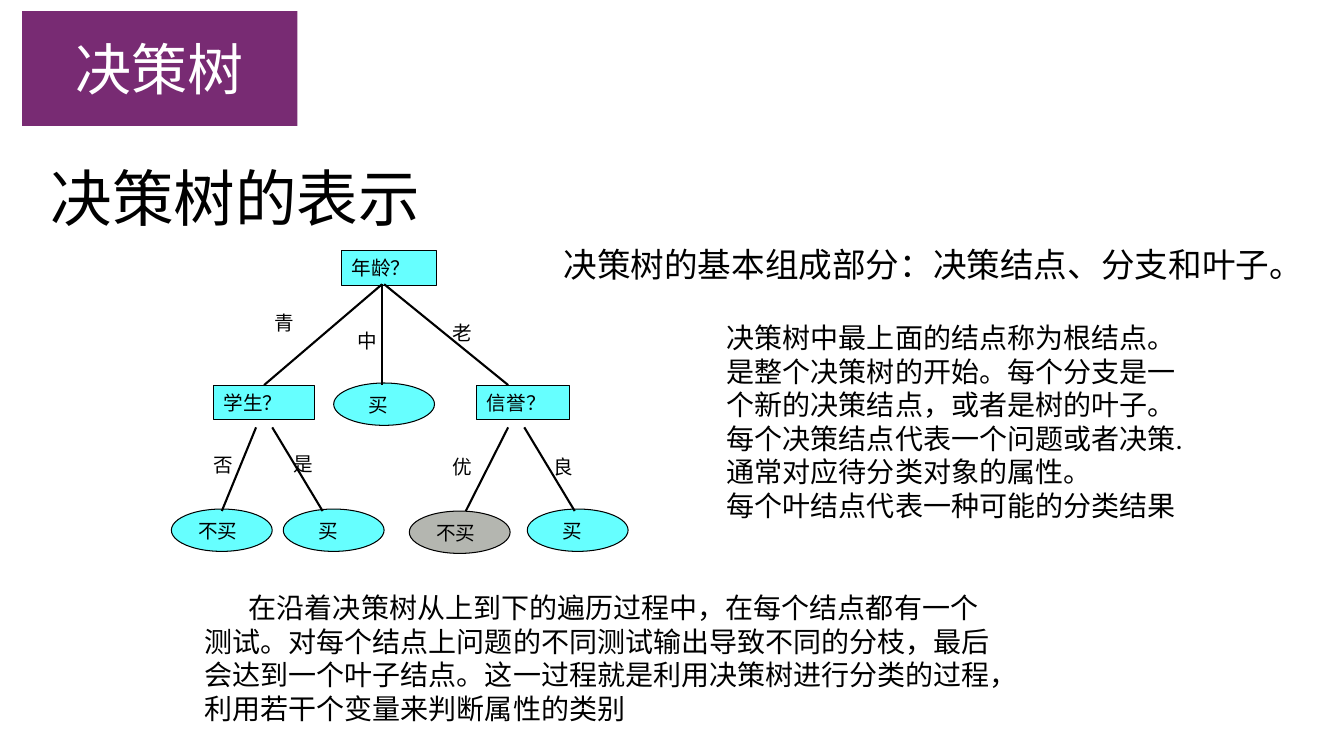
from pptx import Presentation
from pptx.dml.color import RGBColor
from pptx.enum.shapes import MSO_CONNECTOR as CONNECTOR, MSO_SHAPE as SHAPE
from pptx.enum.text import MSO_ANCHOR as ANCHOR, PP_ALIGN as ALIGN
from pptx.oxml.ns import qn
from pptx.util import Pt
from lxml.etree import SubElement

PX = 9144
CYAN = "66FFFF"
GREY = "B4B6B0"
BLACK = "000000"


def color(value):
    return RGBColor.from_string(value)


def write(shape, lines, size, text_color=BLACK, align=ALIGN.LEFT):
    frame = shape.text_frame
    frame.text = "\n".join(lines)
    for paragraph in frame.paragraphs:
        paragraph.alignment = align
        paragraph.font.name = "Calibri"
        paragraph.font.size = Pt(size)
        paragraph.font.color.rgb = color(text_color)
    return frame


presentation = Presentation()
presentation.slide_width = 1333 * PX
presentation.slide_height = 750 * PX
slide = presentation.slides.add_slide(presentation.slide_layouts[5])
shapes = slide.shapes

title = shapes.title
title.left, title.top, title.width, title.height = [v * PX for v in (40, 127, 1150, 145)]
frame = write(title, ["决策树的表示"], 44)
frame.vertical_anchor = ANCHOR.MIDDLE
frame.paragraphs[0].line_spacing = 0.9

banner = shapes.add_shape(SHAPE.RECTANGLE, 22 * PX, 11 * PX, 273 * PX, 114 * PX)
banner.shadow.inherit = False
banner.fill.solid()
banner.fill.fore_color.rgb = color("782B73")
banner.line.fill.background()
write(banner, ["决策树"], 40, "FFFFFF", ALIGN.CENTER)

nodes = [
    ("年龄？", SHAPE.RECTANGLE, 339, 249, 94, 34, CYAN, 10),
    ("学生？", SHAPE.RECTANGLE, 212, 382, 100, 34, CYAN, 10),
    ("信誉？", SHAPE.RECTANGLE, 473, 382, 92, 34, CYAN, 10),
    ("买", SHAPE.OVAL, 331, 380, 100, 42, CYAN, 20),
    ("不买", SHAPE.OVAL, 170, 505, 100, 42, CYAN, 12),
    ("买", SHAPE.OVAL, 281, 505, 100, 42, CYAN, 20),
    ("不买", SHAPE.OVAL, 406, 507, 100, 42, GREY, 12),
    ("买", SHAPE.OVAL, 523, 505, 100, 42, CYAN, 20),
]
node_shapes = []
for text, kind, left, top, width, height, fill, inset in nodes:
    node = shapes.add_shape(kind, left * PX, top * PX, width * PX, height * PX)
    node.shadow.inherit = False
    node.fill.solid()
    node.fill.fore_color.rgb = color(fill)
    node.line.color.rgb = color(BLACK)
    node.line.width = Pt(0.75)
    frame = write(node, [text], 14)
    frame.vertical_anchor = ANCHOR.MIDDLE
    frame.margin_left = inset * PX
    frame.margin_right = frame.margin_top = frame.margin_bottom = 0
    node_shapes.append(node)

branches = [
    (379, 282, 262, 382),
    (379, 282, 379, 382),
    (381, 282, 504, 382),
    (254, 424, 220, 507),
    (270, 424, 320, 507),
    (504, 424, 462, 507),
    (520, 424, 570, 507),
]
branch_lines = []
for ends in branches:
    branch = shapes.add_connector(CONNECTOR.STRAIGHT, *[v * PX for v in ends])
    branch.line.color.rgb = color(BLACK)
    branch.line.width = Pt(1.5)
    SubElement(branch._element.spPr, qn("a:effectLst"))
    branch_lines.append(branch)
branch_lines[0].end_connect(node_shapes[1], 0)

texts = [
    (["青"], 262, 304, 40, 33, 14),
    (["中"], 345, 321, 40, 33, 14),
    (["老"], 439, 313, 40, 33, 14),
    (["否"], 202, 444, 40, 33, 14),
    (["是"], 281, 443, 40, 33, 14),
    (["优"], 439, 446, 40, 33, 14),
    (["良"], 539, 446, 40, 33, 14),
    (["决策树的基本组成部分：决策结点、分支和叶子。"], 549, 237, 753, 50, 24),
    ([
        "决策树中最上面的结点称为根结点。",
        "是整个决策树的开始。每个分支是一",
        "个新的决策结点，或者是树的叶子。",
        "每个决策结点代表一个问题或者决策.",
        "通常对应待分类对象的属性。",
        "每个叶结点代表一种可能的分类结果",
    ], 711, 313, 476, 212, 20),
    ([
        "在沿着决策树从上到下的遍历过程中，在每个结点都有一个",
        "测试。对每个结点上问题的不同测试输出导致不同的分枝，最后",
        "会达到一个叶子结点。这一过程就是利用决策树进行分类的过程，",
        "利用若干个变量来判断属性的类别",
    ], 193, 581, 834, 145, 20),
]
for lines, left, top, width, height, size in texts:
    box = shapes.add_textbox(left * PX, top * PX, width * PX, height * PX)
    frame = write(box, lines, size)
    frame.word_wrap = False
frame.paragraphs[0]._p.get_or_add_pPr().set("indent", str(44 * PX))

presentation.save("out.pptx")
